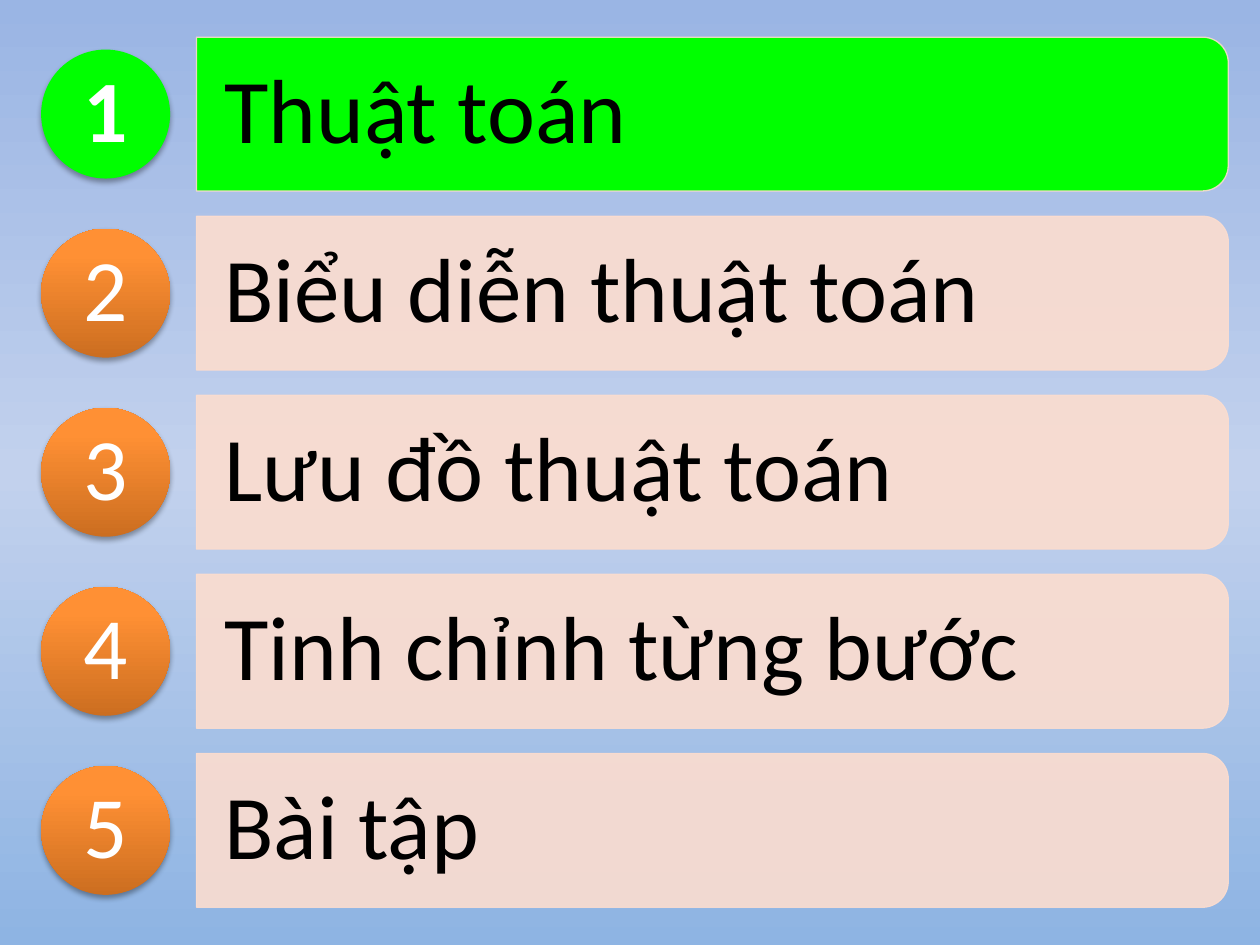
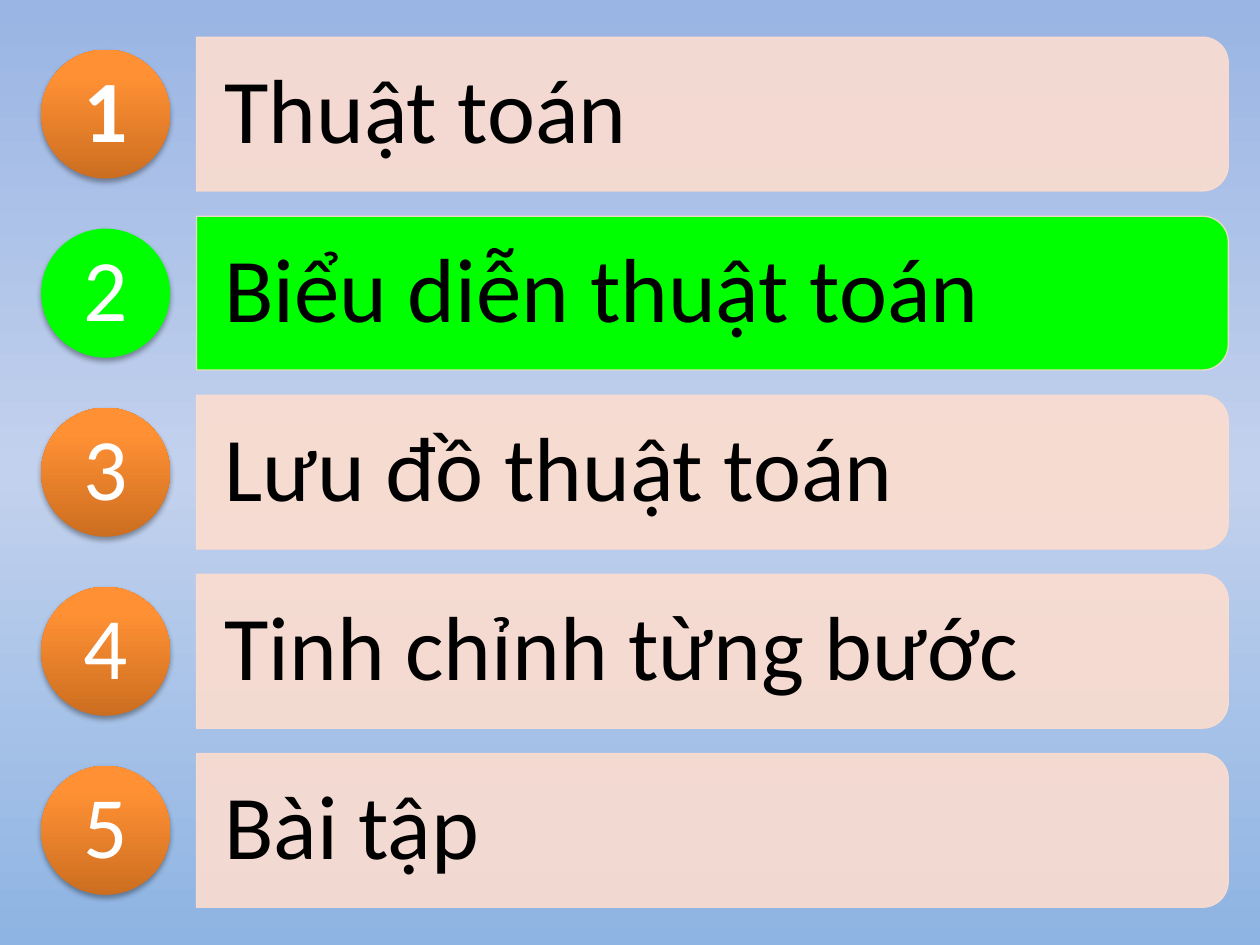
from lxml.etree import SubElement
from pptx import Presentation
from pptx.dml.color import RGBColor
from pptx.enum.shapes import MSO_SHAPE as Preset
from pptx.enum.text import MSO_ANCHOR as Anchor, PP_ALIGN as Align
from pptx.oxml.ns import qn
from pptx.util import Cm, Pt

TOPICS = [
    "Thuật toán",
    "Biểu diễn thuật toán",
    "Lưu đồ thuật toán",
    "Tinh chỉnh từng bước",
    "Bài tập",
]
CURRENT_TOPICS = [1, 2]
BOLD_NUMBER = 1

FONT = "Calibri"
BLACK = RGBColor(0x00, 0x00, 0x00)
WHITE = RGBColor(0xFF, 0xFF, 0xFF)
GREEN = RGBColor(0x00, 0xFF, 0x00)
PEACH = RGBColor(0xFC, 0xDD, 0xCF)
SKY_STOPS = [
    (0, RGBColor(0x9A, 0xB5, 0xE4)),
    (50, RGBColor(0xC2, 0xD1, 0xED)),
    (100, RGBColor(0x8E, 0xB4, 0xE3)),
]
ORANGE_STOPS = [
    (0, RGBColor(0xCC, 0x6E, 0x20)),
    (80, RGBColor(0xFF, 0x90, 0x34)),
    (100, RGBColor(0xFF, 0x91, 0x36)),
]

# Lengths in centimetres
SLIDE_WIDTH, SLIDE_HEIGHT = 25.4, 19.05
FIRST_CENTER, ROW_PITCH = 2.3, 3.61
BAR_LEFT, BAR_WIDTH, BAR_HEIGHT = 3.96, 20.8, 3.1
TITLE_WIDTH, TITLE_HEIGHT = 20.65, 2.8
CIRCLE_LEFT, CIRCLE_SIZE = 0.83, 2.6

TITLE_FONT = {"name": FONT, "size": Pt(52), "color": BLACK, "bold": False}
NUMBER_FONT = {"name": FONT, "size": Pt(50), "color": WHITE, "bold": False}


def set_gradient(fill, element, stops, angle):
    """Fill with colour stops; the angle runs counter-clockwise."""
    fill.gradient()
    fill.gradient_angle = angle
    stop_list = element.find(".//" + qn("a:gsLst"))
    for old_stop in list(stop_list):
        stop_list.remove(old_stop)
    for percent, color in stops:
        stop = SubElement(stop_list, qn("a:gs"), pos=str(percent * 1000))
        SubElement(stop, qn("a:srgbClr"), val=str(color))


def set_opacity(fill_element, percent):
    color = fill_element.find(qn("a:solidFill") + "/" + qn("a:srgbClr"))
    SubElement(color, qn("a:alpha"), val=str(percent * 1000))


def add_soft_shadow(shape):
    shape.shadow.inherit = False
    effects = shape.element.spPr.find(qn("a:effectLst"))
    shadow = SubElement(effects, qn("a:outerShdw"), blurRad="40000", dist="23000",
                        dir="5400000", rotWithShape="0")
    color = SubElement(shadow, qn("a:srgbClr"), val=str(BLACK))
    SubElement(color, qn("a:alpha"), val="35000")


def write(shape, text, font_format, align, margin_x=0, margin_y=0):
    frame = shape.text_frame
    frame_format = {
        "word_wrap": True, "vertical_anchor": Anchor.MIDDLE,
        "margin_left": Cm(margin_x), "margin_right": Cm(margin_x),
        "margin_top": Cm(margin_y), "margin_bottom": Cm(margin_y),
    }
    for name, value in frame_format.items():
        setattr(frame, name, value)
    paragraph = frame.paragraphs[0]
    paragraph.alignment = align
    paragraph.line_spacing = 0.9
    run = paragraph.add_run()
    run.text = text
    for name, value in font_format.items():
        if name == "color":
            run.font.color.rgb = value
        else:
            setattr(run.font, name, value)


def add_bar(slide, center_y, is_current):
    """Add an upright shape turned a quarter, so its round corners face right."""
    center_x = BAR_LEFT + BAR_WIDTH / 2
    bar = slide.shapes.add_shape(
        Preset.ROUND_2_SAME_RECTANGLE,
        Cm(center_x - BAR_HEIGHT / 2), Cm(center_y - BAR_WIDTH / 2),
        Cm(BAR_HEIGHT), Cm(BAR_WIDTH))
    bar.rotation = 90
    bar.shadow.inherit = False
    bar.fill.solid()
    bar.fill.fore_color.rgb = GREEN if is_current else PEACH
    bar.line.color.rgb = PEACH
    bar.line.width = Pt(0.75)
    properties = bar.element.spPr
    set_opacity(properties.find(qn("a:ln")), 90)
    if not is_current:
        set_opacity(properties, 90)


def add_title(slide, center_y, text):
    title = slide.shapes.add_textbox(
        Cm(BAR_LEFT), Cm(center_y - TITLE_HEIGHT / 2), Cm(TITLE_WIDTH), Cm(TITLE_HEIGHT))
    write(title, text, TITLE_FONT, Align.LEFT, 0.56, 0.36)


def add_number(slide, center_y, number, is_current):
    circle = slide.shapes.add_shape(
        Preset.OVAL, Cm(CIRCLE_LEFT), Cm(center_y - CIRCLE_SIZE / 2),
        Cm(CIRCLE_SIZE), Cm(CIRCLE_SIZE))
    circle.line.fill.background()
    add_soft_shadow(circle)
    if is_current:
        circle.fill.solid()
        circle.fill.fore_color.rgb = GREEN
    else:
        set_gradient(circle.fill, circle.element, ORANGE_STOPS, 90)
    write(circle, str(number), NUMBER_FONT | {"bold": number == BOLD_NUMBER}, Align.CENTER)


def add_agenda(presentation, current):
    slide = presentation.slides.add_slide(presentation.slide_layouts[6])
    for row, topic in enumerate(TOPICS):
        center_y = FIRST_CENTER + row * ROW_PITCH
        number = row + 1
        add_bar(slide, center_y, number == current)
        add_title(slide, center_y, topic)
        add_number(slide, center_y, number, number == current)


def main():
    presentation = Presentation()
    presentation.slide_width = Cm(SLIDE_WIDTH)
    presentation.slide_height = Cm(SLIDE_HEIGHT)
    master = presentation.slide_master
    set_gradient(master.background.fill, master.element, SKY_STOPS, 270)
    for current in CURRENT_TOPICS:
        add_agenda(presentation, current)
    presentation.save("out.pptx")


if __name__ == "__main__":
    main()
